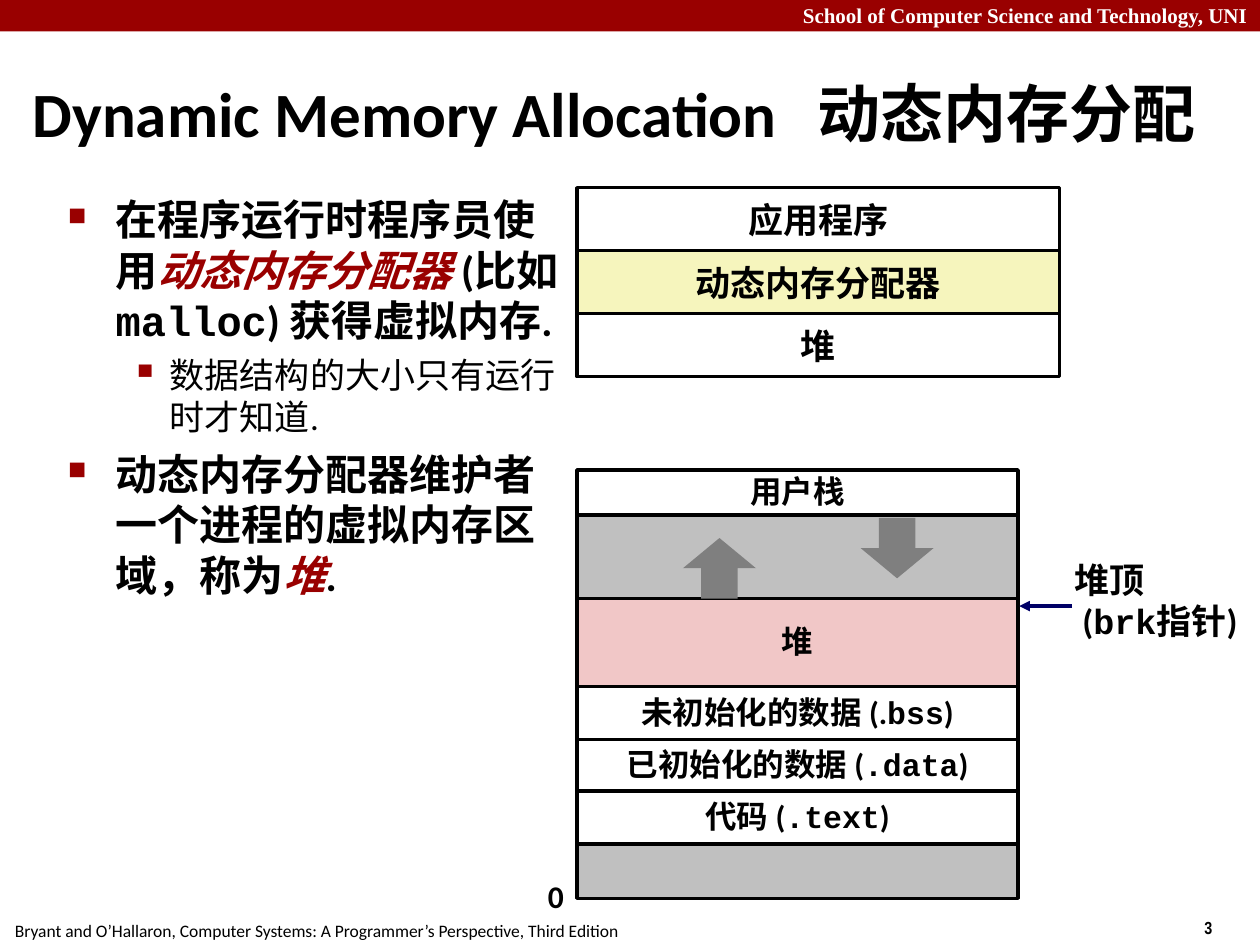
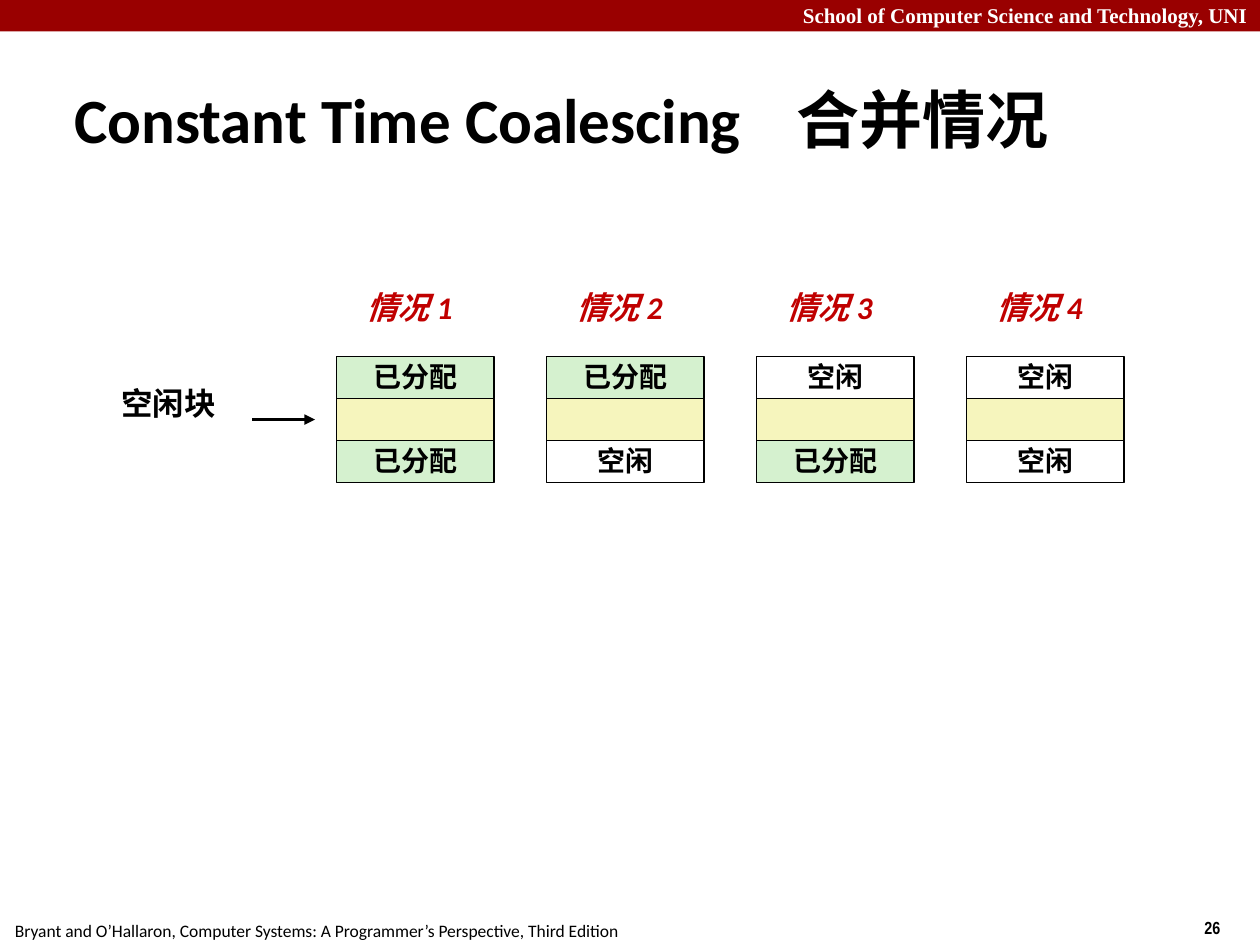
import pptx
import pptx.dml.color
import pptx.enum.shapes
import pptx.enum.text
import pptx.oxml
import pptx.oxml.ns
import pptx.util
from lxml import etree

Inches = pptx.util.Inches
Pt = pptx.util.Pt
RGBColor = pptx.dml.color.RGBColor
SHAPE = pptx.enum.shapes.MSO_SHAPE
ALIGN = pptx.enum.text.PP_ALIGN
ANCHOR = pptx.enum.text.MSO_ANCHOR
AUTO_SIZE = pptx.enum.text.MSO_AUTO_SIZE

BLACK = RGBColor(0x00, 0x00, 0x00)
WHITE = RGBColor(0xFF, 0xFF, 0xFF)
CRIMSON = RGBColor(0x99, 0x00, 0x00)
CASE_RED = RGBColor(0xC0, 0x00, 0x00)
NAVY = RGBColor(0x00, 0x00, 0x66)
SILVER = RGBColor(0xC0, 0xC0, 0xC0)
GREY = RGBColor(0x7F, 0x7F, 0x7F)
PINK = RGBColor(0xF1, 0xC7, 0xC7)
YELLOW = RGBColor(0xF6, 0xF5, 0xBD)
GREEN = RGBColor(0xD5, 0xF1, 0xCF)

BODY_FONT = "Calibri"
CODE_FONT = "Courier New"
SCHOOL = "School of Computer Science and Technology, UNI"
BOOK = "Bryant and O’Hallaron, Computer Systems: A Programmer’s Perspective, Third Edition"


def code(text):
    """Mark a piece of text as program code."""
    return text, "code"


def term(text):
    """Mark a piece of text as a highlighted term."""
    return text, "term"


def add_property(paragraph, tag, **attributes):
    """Append a child element to the paragraph properties."""
    properties = paragraph._p.get_or_add_pPr()
    return etree.SubElement(properties, pptx.oxml.ns.qn(tag), attributes)


def write(paragraph, pieces, size, color=BLACK, font=BODY_FONT, bold=True,
          italic=False, align=ALIGN.LEFT, spacing=None):
    """Fill a paragraph with plain, code and term pieces."""
    paragraph.alignment = align
    if spacing:
        paragraph.line_spacing = spacing
    style = paragraph.font
    style.size, style.name = Pt(size), font
    style.bold, style.italic = bold, italic
    style.color.rgb = color
    for piece in [pieces] if isinstance(pieces, str) else pieces:
        text, role = (piece, "plain") if isinstance(piece, str) else piece
        run = paragraph.add_run()
        run.text = text
        if role == "code":
            run.font.name = CODE_FONT
        elif role == "term":
            run.font.color.rgb = CRIMSON
            run.font.italic = True


def add_label(slide, left, top, width, height, lines, size, wrap=False, **style):
    """Add a text box that grows with its lines."""
    frame = slide.shapes.add_textbox(
        Inches(left), Inches(top), Inches(width), Inches(height)).text_frame
    frame.word_wrap = wrap
    frame.auto_size = AUTO_SIZE.SHAPE_TO_FIT_TEXT
    for index, line in enumerate(lines):
        paragraph = frame.add_paragraph() if index else frame.paragraphs[0]
        write(paragraph, line, size, **style)


def add_block(slide, preset, left, top, width, height, fill, line_width=0):
    """Add a flat preset shape with an optional black outline."""
    block = slide.shapes.add_shape(
        preset, Inches(left), Inches(top), Inches(width), Inches(height))
    block.shadow.inherit = False
    block.fill.solid()
    block.fill.fore_color.rgb = fill
    if line_width:
        block.line.color.rgb = BLACK
        block.line.width = Pt(line_width)
    else:
        block.line.fill.background()
    return block


def add_stack(slide, left, top, width, rows, size, line_width, spacing=0.98):
    """Pile up rows of (text, fill, height) from the top down."""
    for text, fill, height in rows:
        block = add_block(slide, SHAPE.RECTANGLE, left, top, width, height, fill, line_width)
        if text:
            frame = block.text_frame
            frame.word_wrap = False
            frame.vertical_anchor = ANCHOR.MIDDLE
            write(frame.paragraphs[0], text, size, align=ALIGN.CENTER, spacing=spacing)
        top += height


def add_arrow(slide, start, end, color):
    """Draw a straight arrow between two points."""
    arrow = slide.shapes.add_connector(
        pptx.enum.shapes.MSO_CONNECTOR.STRAIGHT, *map(Inches, start + end))
    arrow.line.color.rgb = color
    arrow.line.width = Pt(2)
    etree.SubElement(arrow.line._get_or_add_ln(), pptx.oxml.ns.qn("a:tailEnd"), type="triangle")
    etree.SubElement(arrow._element.spPr, pptx.oxml.ns.qn("a:effectLst"))


def add_page(deck, title, title_box, chinese_offset, number):
    """Start a slide with the shared band, footer and title."""
    slide = deck.slides.add_slide(deck.slide_layouts[5])
    add_block(slide, SHAPE.RECTANGLE, 0, 0, 10, 0.25, CRIMSON)
    add_label(slide, 9.46, 7.23, 0.75, 0.27, [str(number)], 10, font="Arial Narrow")
    add_label(slide, 0.02, 7.25, 5.01, 0.27, [BOOK], 10, bold=False)
    add_label(slide, 0, -0.03, 10, 0.3, [SCHOOL], 12, wrap=True, color=WHITE,
              font="Times New Roman", align=ALIGN.RIGHT)

    heading = slide.shapes.title
    heading.left, heading.top, heading.width, heading.height = map(Inches, title_box)
    frame = heading.text_frame
    frame.word_wrap = True
    frame.auto_size = AUTO_SIZE.NONE
    frame.vertical_anchor = ANCHOR.MIDDLE
    paragraph = frame.paragraphs[0]
    tabs = add_property(paragraph, "a:tabLst")
    etree.SubElement(tabs, pptx.oxml.ns.qn("a:tab"), pos=str(Inches(chinese_offset)), algn="l")
    write(paragraph, title, 36)
    return slide


def add_bullets(slide, left, top, width, height):
    """List what the dynamic allocator does."""
    main = dict(mark="■", percent=60, margin=0.38, hang=0.38, before=6, size=24, bold=True)
    detail = dict(mark="▪", percent=110, margin=0.81, hang=0.31, before=5, size=20, bold=False)
    points = [
        (main, ["在程序运行时程序员使用", term("动态内存分配器 "), "(比如 ",
                code("malloc"), ") 获得虚拟内存."]),
        (detail, "数据结构的大小只有运行时才知道."),
        (main, ["动态内存分配器维护者一个进程的虚拟内存区域，称为", term("堆"), "."]),
    ]
    frame = slide.shapes.add_textbox(
        Inches(left), Inches(top), Inches(width), Inches(height)).text_frame
    frame.word_wrap = True
    for index, (level, pieces) in enumerate(points):
        paragraph = frame.add_paragraph() if index else frame.paragraphs[0]
        paragraph.level = int(level is detail)
        paragraph.space_before = Pt(level["before"])
        properties = paragraph._p.get_or_add_pPr()
        properties.set("marL", str(Inches(level["margin"])))
        properties.set("indent", str(-Inches(level["hang"])))
        tint = add_property(paragraph, "a:buClr")
        etree.SubElement(tint, pptx.oxml.ns.qn("a:srgbClr"), val=str(CRIMSON))
        add_property(paragraph, "a:buSzPct", val=str(level["percent"] * 1000))
        add_property(paragraph, "a:buChar", char=level["mark"])
        write(paragraph, pieces, level["size"], bold=level["bold"])


def add_memory_map(slide, left, top, width):
    """Draw the process address space with its growth arrows and heap top."""
    rows = [
        ("用户栈", WHITE, 0.36),
        (None, SILVER, 0.66),
        ("堆", PINK, 0.7),
        (["未初始化的数据 (.", code("bss"), ")"], WHITE, 0.42),
        (["已初始化的数据 (", code(".data"), ")"], WHITE, 0.41),
        (["代码 (", code(".text"), ")"], WHITE, 0.42),
        (None, SILVER, 0.43),
    ]
    add_stack(slide, left, top, width, rows, 18, 2)
    add_label(slide, left - 0.33, top + 3.2, 0.32, 0.4, ["0"], 18, spacing=0.98)
    right = left + width
    add_label(slide, right + 0.35, top + 0.67, 1.62, 0.76,
              ["堆顶", [" (", code("brk指针"), ")"]], 20, spacing=0.98)
    add_arrow(slide, (right + 0.43, top + 1.08), (right + 0.01, top + 1.08), NAVY)
    add_block(slide, SHAPE.DOWN_ARROW, left + 2.25, top + 0.38, 0.58, 0.48, GREY)
    add_block(slide, SHAPE.UP_ARROW, left + 0.84, top + 0.54, 0.58, 0.48, GREY)


def build_allocation(deck):
    """Build the slide on dynamic memory allocation."""
    slide = add_page(deck, "Dynamic Memory Allocation\t动态内存分配",
                     (0.16, 0.48, 9.65, 0.83), 6.23, 3)
    add_bullets(slide, 0.44, 1.49, 4.14, 5.44)
    add_memory_map(slide, 4.58, 3.73, 3.5)
    layers = [("应用程序", WHITE, 0.5), ("动态内存分配器", YELLOW, 0.5), ("堆", WHITE, 0.5)]
    add_stack(slide, 4.58, 1.49, 3.83, layers, 20, 2, spacing=None)


def add_case(slide, left, top, number, before, after):
    """Draw one case: a block between its two neighbours."""
    fills = {"已分配": GREEN, "空闲": WHITE, None: YELLOW}
    rows = [(state, fills[state], 1 / 3) for state in (before, None, after)]
    add_stack(slide, left, top, 1.25, rows, 16, 1)
    add_label(slide, left + 0.14, top - 0.58, 0.94, 0.4, [f"情况 {number}"], 18,
              color=CASE_RED, italic=True, spacing=0.98)


def build_coalescing(deck):
    """Build the slide on the four coalescing cases."""
    slide = add_page(deck, "Constant Time Coalescing\t合并情况",
                     (0.49, 0.62, 8.85, 0.63), 5.73, 26)
    used, free = "已分配", "空闲"
    cases = [(used, used), (used, free), (free, used), (free, free)]
    for index, (before, after) in enumerate(cases):
        add_case(slide, 2.67 + index * 5 / 3, 2.83, index + 1, before, after)
    add_label(slide, 0.86, 3.01, 0.95, 0.4, ["空闲块"], 18, align=ALIGN.RIGHT, spacing=0.98)
    add_arrow(slide, (2, 3.33), (2.5, 3.33), BLACK)


def main():
    """Build and save the deck."""
    deck = pptx.Presentation()
    deck.slide_width, deck.slide_height = Inches(10), Inches(7.5)
    build_allocation(deck)
    build_coalescing(deck)
    deck.save("out.pptx")


if __name__ == "__main__":
    main()
